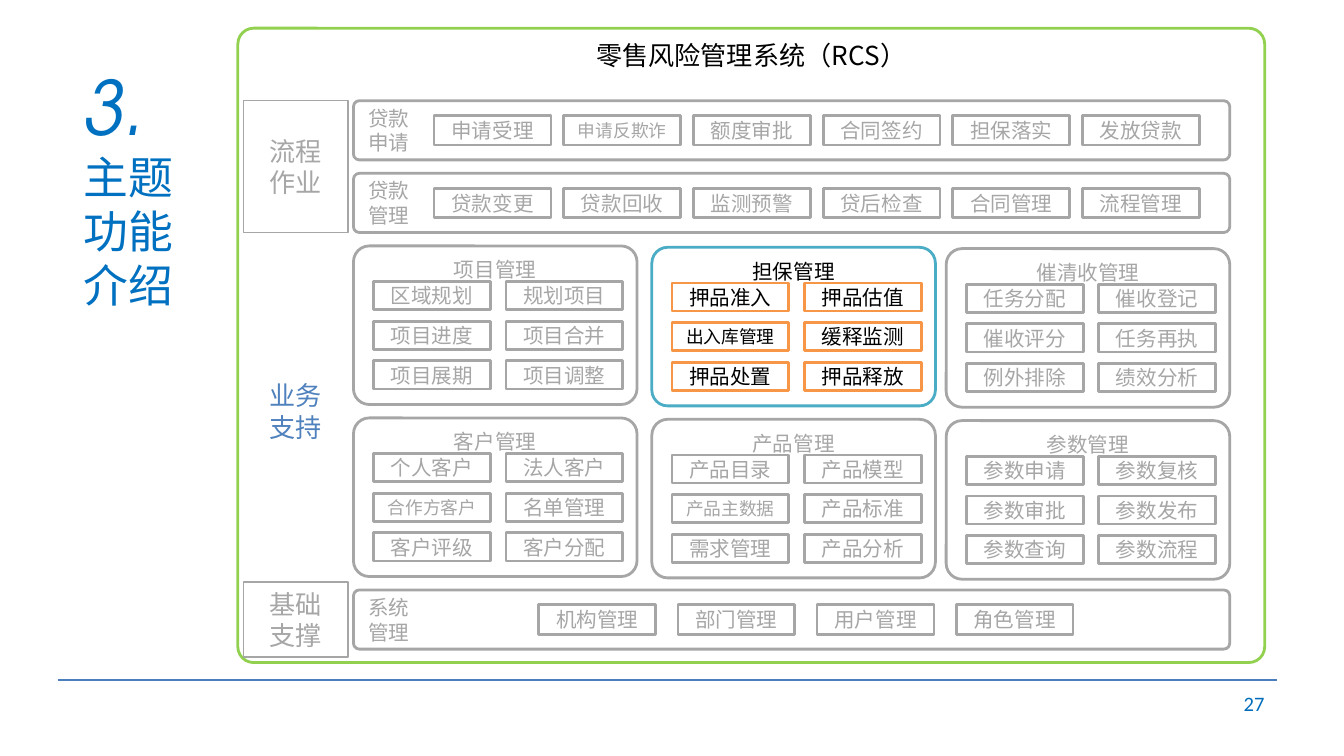
from dataclasses import dataclass

import lxml.etree
import pptx
import pptx.dml.color
import pptx.enum.shapes
import pptx.enum.text
import pptx.oxml.ns
import pptx.util

Inches = pptx.util.Inches
Pt = pptx.util.Pt
RGBColor = pptx.dml.color.RGBColor
Shape = pptx.enum.shapes.MSO_SHAPE
Align = pptx.enum.text.PP_ALIGN
Anchor = pptx.enum.text.MSO_ANCHOR
qn = pptx.oxml.ns.qn

WHITE = RGBColor(0xFF, 0xFF, 0xFF)
BLACK = RGBColor(0, 0, 0)
GRAY = RGBColor(0xA6, 0xA6, 0xA6)
GREEN = RGBColor(0x92, 0xD0, 0x50)
TEAL = RGBColor(0x4B, 0xAC, 0xC6)
ORANGE = RGBColor(0xF7, 0x96, 0x46)
BLUE = RGBColor(0x4F, 0x81, 0xBD)
RULE = RGBColor(0x4B, 0x7E, 0xBC)
NUMBER = RGBColor(0x00, 0x6D, 0xBB)
TITLE = RGBColor(0x00, 0x70, 0xC0)
SANS = "Noto Sans CJK SC"


@dataclass
class Row:
    """A wide bar with a label and a line of functions."""
    top: float
    label: str
    cells: str
    left: float = 3.23
    pitch: float = 0.965


@dataclass
class Panel:
    """A titled box with functions in two columns."""
    left: float
    top: float
    label: str
    cells: str
    edge: RGBColor = GRAY
    frame: RGBColor = GRAY
    ink: RGBColor = GRAY


@dataclass
class Layer:
    """A system layer named at the left."""
    top: float
    height: float
    label: str
    ink: RGBColor = GRAY
    boxed: bool = True


def write(shape, text: str, size: float, ink: RGBColor, align=Align.CENTER,
          anchor=Anchor.MIDDLE, face: str = SANS, pad=(0.1, 0.05)) -> None:
    frame = shape.text_frame
    wide, high = map(Inches, pad)
    props = {"text": text, "word_wrap": True, "vertical_anchor": anchor,
             "auto_size": pptx.enum.text.MSO_AUTO_SIZE.NONE,
             "margin_left": wide, "margin_right": wide,
             "margin_top": high, "margin_bottom": high}
    for name, value in props.items():
        setattr(frame, name, value)
    for para in frame.paragraphs:
        para.alignment = align
        style(para, size, ink, face)


def style(para, size: float, ink: RGBColor, face: str = SANS,
          italic: bool = False) -> None:
    para.line_spacing = Pt(size * 1.2)
    for run in para.runs:
        props = {"name": face, "size": Pt(size), "bold": False, "italic": italic}
        for name, value in props.items():
            setattr(run.font, name, value)
        run.font.color.rgb = ink
        # East Asian glyphs take their own typeface element
        fonts = run.font._element
        east = fonts.find(qn("a:ea"))
        if east is None:
            east = lxml.etree.SubElement(fonts, qn("a:ea"))
        east.set("typeface", face)


def box(shapes, kind, left: float, top: float, width: float, height: float,
        edge: RGBColor, weight: float = 1.5, fill=WHITE, bend=None):
    shape = shapes.add_shape(kind, Inches(left), Inches(top),
                             Inches(width), Inches(height))
    shape.shadow.inherit = False
    if fill is None:
        shape.fill.background()
    else:
        shape.fill.solid()
        shape.fill.fore_color.rgb = fill
    shape.line.color.rgb = edge
    shape.line.width = Pt(weight)
    if bend is not None:
        shape.adjustments[0] = bend
    return shape


def cell(shapes, left: float, top: float, height: float, text: str,
         edge: RGBColor = GRAY, ink: RGBColor = GRAY) -> None:
    shape = box(shapes, Shape.RECTANGLE, left, top, 0.87, height, edge)
    write(shape, text, 9.5 if len(text) > 4 else 11, ink, pad=(0, 0))


def draw_row(slide, row: Row) -> None:
    shapes = slide.shapes.add_group_shape().shapes
    bar = box(shapes, Shape.ROUNDED_RECTANGLE, 2.63, row.top, 6.52, 0.44,
              GRAY, bend=0.1)
    write(bar, row.label, 11, GRAY, Align.LEFT, pad=(0.1, 0))
    for i, text in enumerate(row.cells.split()):
        cell(shapes, row.left + i * row.pitch, row.top + 0.11, 0.22, text)


def draw_panel(slide, panel: Panel) -> None:
    shapes = slide.shapes.add_group_shape().shapes
    back = box(shapes, Shape.ROUNDED_RECTANGLE, panel.left, panel.top, 2.11, 1.18,
               panel.edge, bend=0.1)
    write(back, panel.label, 11, panel.ink, anchor=Anchor.TOP)
    for i, text in enumerate(panel.cells.split()):
        line, col = divmod(i, 2)
        cell(shapes, panel.left + 0.15 + col * 0.985,
             panel.top + 0.265 + line * 0.295, 0.21, text, panel.frame, panel.ink)


def label(slide, left: float, top: float, width: float, height: float):
    return slide.shapes.add_textbox(Inches(left), Inches(top),
                                    Inches(width), Inches(height))


def draw_layer(slide, layer: Layer) -> None:
    area = (1.81, layer.top, 0.78, layer.height)
    if layer.boxed:
        shape = box(slide.shapes, Shape.RECTANGLE, *area, GRAY, 0.75, None)
    else:
        shape = label(slide, *area)
    write(shape, layer.label, 14, layer.ink)


ROWS = [
    Row(4.39, "系统\n管理", "机构管理 部门管理 用户管理 角色管理", 4.01, 1.035),
    Row(1.29, "贷款\n管理", "贷款变更 贷款回收 监测预警 贷后检查 合同管理 流程管理"),
    Row(0.75, "贷款\n申请", "申请受理 申请反欺诈 额度审批 合同签约 担保落实 发放贷款"),
]
PANELS = [
    Panel(2.63, 3.11, "客户管理", "个人客户 法人客户 合作方客户 名单管理 客户评级 客户分配"),
    Panel(4.85, 3.12, "产品管理", "产品目录 产品模型 产品主数据 产品标准 需求管理 产品分析"),
    Panel(7.04, 3.13, "参数管理", "参数申请 参数复核 参数审批 参数发布 参数查询 参数流程"),
    Panel(2.63, 1.83, "项目管理", "区域规划 规划项目 项目进度 项目合并 项目展期 项目调整"),
    Panel(4.85, 1.84, "担保管理", "押品准入 押品估值 出入库管理 缓释监测 押品处置 押品释放",
          TEAL, ORANGE, BLACK),
    Panel(7.04, 1.85, "催清收管理", "任务分配 催收登记 催收评分 任务再执 例外排除 绩效分析"),
]
LAYERS = [
    Layer(0.75, 0.98, "流程\n作业"),
    Layer(1.83, 2.46, "业务\n支持", BLUE, False),
    Layer(4.33, 0.56, "基础\n支撑"),
]


def main() -> None:
    deck = pptx.Presentation()
    # Widescreen, 16 to 9
    deck.slide_width = Inches(10)
    deck.slide_height = Inches(10 * 9 / 16)
    slide = deck.slides.add_slide(deck.slide_layouts[5])

    # Title
    title = slide.shapes.title
    place = {"left": 0.52, "top": 0.4, "width": 0.99, "height": 2.2}
    for name, value in place.items():
        setattr(title, name, Inches(value))
    write(title, "3.\n主题\v功能\v介绍", 24, TITLE, Align.LEFT, Anchor.TOP)
    style(title.text_frame.paragraphs[0], 40, TITLE, "TeX Gyre Adventor", True)

    # Footer rule and page number
    rule = slide.shapes.add_connector(
        pptx.enum.shapes.MSO_CONNECTOR.STRAIGHT,
        Inches(0.43), Inches(5.06), Inches(9.5), Inches(5.06))
    rule.line.color.rgb = RULE
    rule.line.width = Pt(0.75)
    lxml.etree.SubElement(rule._element.spPr, qn("a:effectLst"))
    write(label(slide, 7.17, 5.08, 2.33, 0.3), "27", 11, NUMBER, Align.RIGHT,
          face="Calibri", pad=(0.09, 0.04))

    # System frame and its contents
    system = box(slide.shapes, Shape.ROUNDED_RECTANGLE, 1.77, 0.21, 7.64, 4.72,
                 GREEN, bend=0.025)
    write(system, "零售风险管理系统（RCS）", 14, BLACK, anchor=Anchor.TOP)
    for row in ROWS:
        draw_row(slide, row)
    for panel in PANELS:
        draw_panel(slide, panel)
    for layer in LAYERS:
        draw_layer(slide, layer)

    deck.save("out.pptx")


if __name__ == "__main__":
    main()
